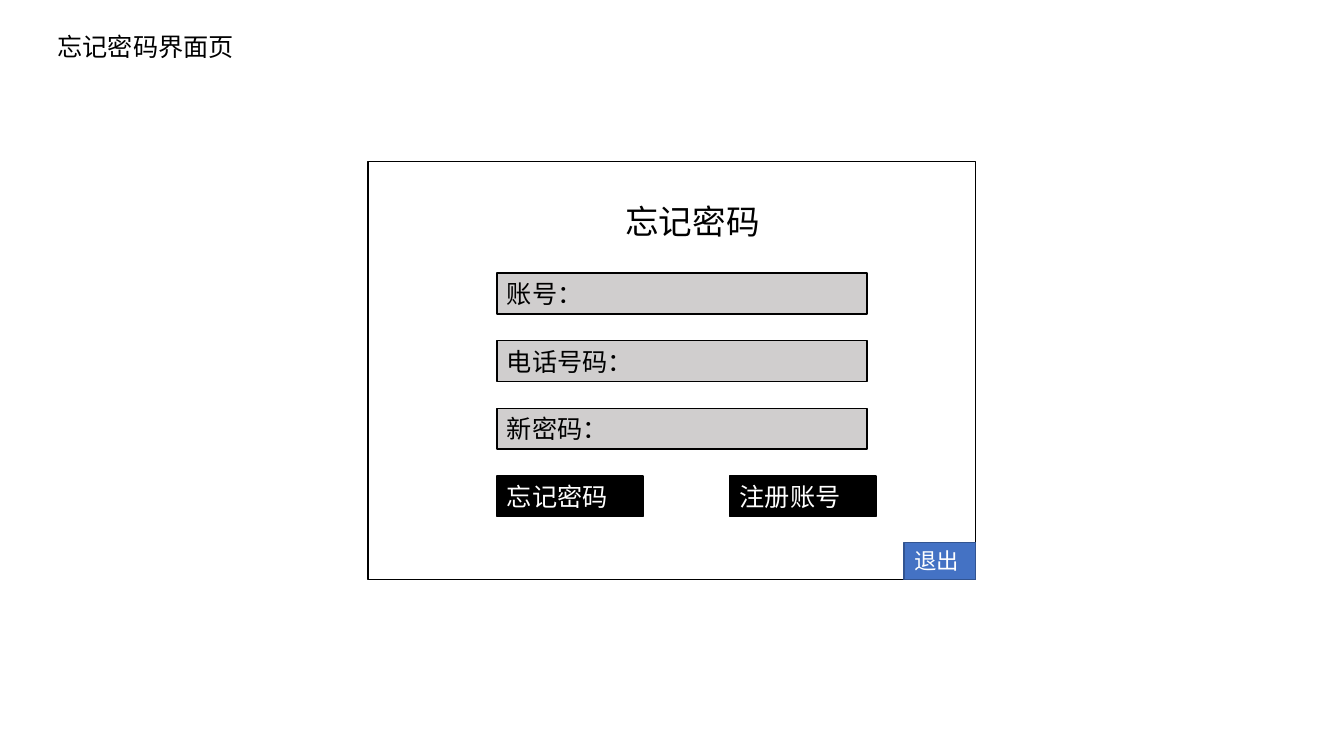
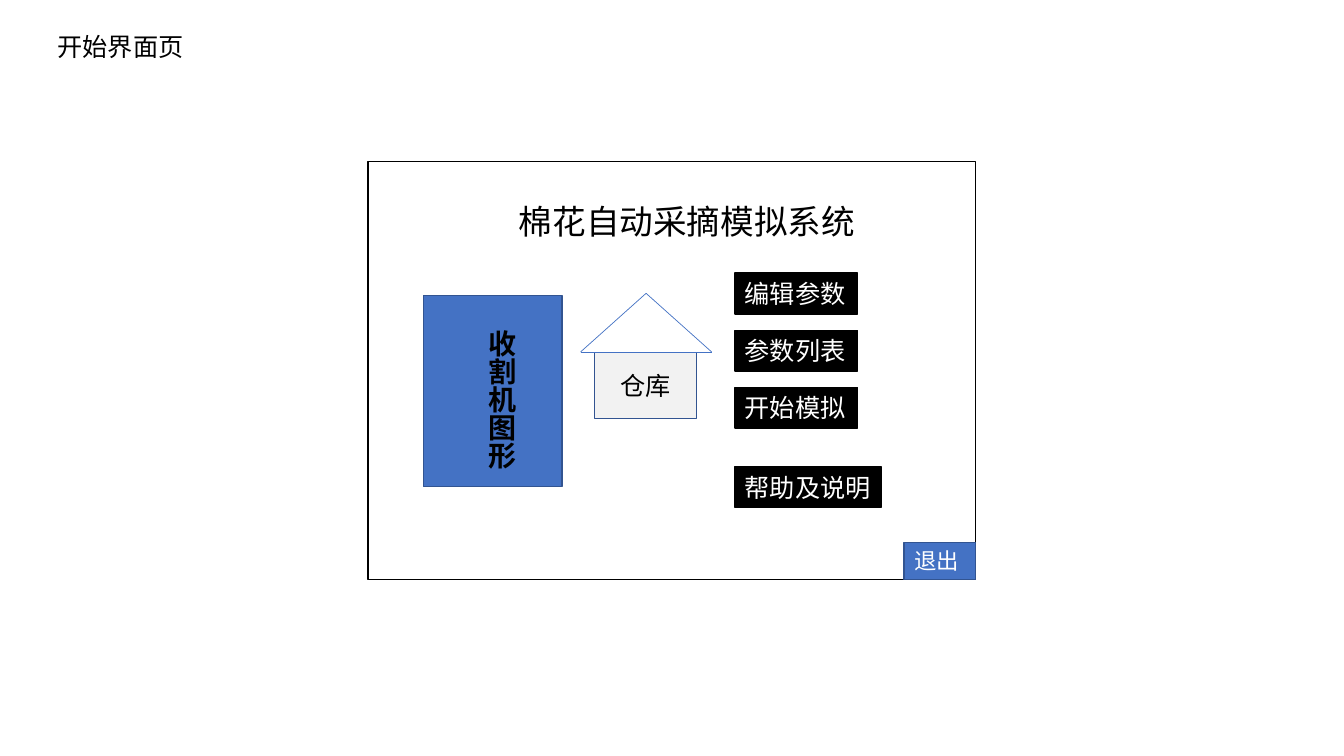
from lxml.etree import SubElement
from pptx import Presentation
from pptx.dml.color import RGBColor
from pptx.enum.shapes import MSO_CONNECTOR, MSO_SHAPE
from pptx.enum.text import MSO_ANCHOR, MSO_AUTO_SIZE, PP_ALIGN
from pptx.oxml.ns import qn
from pptx.util import Inches, Pt

COLORS = {
    "ink": "000000",
    "paper": "FFFFFF",
    "field": "D0CECE",
    "wall": "F2F2F2",
    "accent": "4472C4",
    "accent_edge": "325491",
}
FONT = "Noto Sans CJK SC"
COLUMNS, ROWS = 160, 90

FRAME_LEFT, FRAME_TOP, FRAME_WIDTH, FRAME_HEIGHT = 43.8, 19.2, 72.36, 49.8
EXIT_WIDTH, EXIT_HEIGHT = 8.52, 4.44
LINE_HEIGHT = 4.85
CONTENT_TOP = 32.52
FORM_LEFT, FORM_PITCH = 59.16, 8.05
MENU_LEFT, MENU_PITCH = 87.48, 6.8
WIDE_BUTTON, SMALL_BUTTON = 17.4, 14.64


class Wireframe:
    """Draws interface screens on a grid of 160 columns and 90 rows."""

    def __init__(self):
        self.deck = Presentation()
        self.deck.slide_width, self.deck.slide_height = Inches(13.333), Inches(7.5)
        self.page = None

    def x(self, columns):
        return round(self.deck.slide_width * columns / COLUMNS)

    def y(self, rows):
        return round(self.deck.slide_height * rows / ROWS)

    def area(self, left, top, width, height):
        return self.x(left), self.y(top), self.x(width), self.y(height)

    def color(self, name):
        return RGBColor.from_string(COLORS[name])

    def set_text(self, box, text, size, color="ink", align=PP_ALIGN.LEFT, bold=False):
        frame = box.text_frame
        frame.text = text
        frame.word_wrap = True
        frame.auto_size = MSO_AUTO_SIZE.NONE
        frame.vertical_anchor = MSO_ANCHOR.MIDDLE
        if align == PP_ALIGN.LEFT:
            frame.margin_right = 0
        para = frame.paragraphs[0]
        para.alignment = align
        for span in para.runs:
            span.font.name = FONT
            span.font.size = Pt(size)
            span.font.bold = bold
            span.font.color.rgb = self.color(color)
            SubElement(span.font._element, qn("a:ea"), typeface=FONT)

    def rectangle(self, area, fill=None, edge="ink", kind=MSO_SHAPE.RECTANGLE):
        box = self.page.shapes.add_shape(kind, *self.area(*area))
        box.shadow.inherit = False
        if fill:
            box.fill.solid()
            box.fill.fore_color.rgb = self.color(fill)
        else:
            box.fill.background()
        box.line.color.rgb = self.color(edge)
        box.line.width = Pt(1)
        return box

    def label(self, area, text, size, **style):
        box = self.page.shapes.add_textbox(*self.area(*area))
        self.set_text(box, text, size, **style)
        return box

    def vertical_label(self, area, text, size, **style):
        box = self.label(area, text, size, **style)
        box.text_frame.vertical_anchor = MSO_ANCHOR.TOP
        box.text_frame._txBody.bodyPr.set("vert", "eaVert")

    def field(self, top, text):
        box = self.rectangle((FORM_LEFT, top, 44.04, LINE_HEIGHT), "field")
        self.set_text(box, text, 18)

    def button(self, left, top, width, text):
        box = self.rectangle((left, top, width, LINE_HEIGHT), "ink")
        self.set_text(box, text, 18, "paper")

    def line(self, start, end):
        line = self.page.shapes.add_connector(
            MSO_CONNECTOR.STRAIGHT,
            self.x(start[0]), self.y(start[1]), self.x(end[0]), self.y(end[1]))
        line.line.color.rgb = self.color("accent")
        line.line.width = Pt(0.5)
        SubElement(line._element.spPr, qn("a:effectLst"))

    def screen(self, title, heading, align):
        self.page = self.deck.slides.add_slide(self.deck.slide_layouts[5])
        name = self.page.shapes.title
        name.left, name.top, name.width, name.height = self.area(5.64, 3, 28.8, 5)
        self.set_text(name, title, 18)
        self.rectangle((FRAME_LEFT, FRAME_TOP, FRAME_WIDTH, FRAME_HEIGHT))
        self.label((60.6, 23.28, 43.68, 6), heading, 24, align=align)
        corner = (FRAME_LEFT + FRAME_WIDTH - EXIT_WIDTH,
                  FRAME_TOP + FRAME_HEIGHT - EXIT_HEIGHT)
        leave = self.rectangle((*corner, EXIT_WIDTH, EXIT_HEIGHT), "accent", "accent_edge")
        self.set_text(leave, "退出", 16, "paper")

    def house(self, text):
        wall = self.rectangle((70.8, 42, 12.12, 7.8), "wall", "accent_edge",
                              MSO_SHAPE.FLOWCHART_PROCESS)
        self.set_text(wall, text, 18, align=PP_ALIGN.CENTER)
        left, right, apex = (69.12, 41.9), (84.72, 41.9), (76.92, 34.92)
        for start, end in ((left, right), (left, apex), (right, apex)):
            self.line(start, end)


def password_screen(wireframe):
    wireframe.screen("忘记密码界面页", "忘记密码", PP_ALIGN.CENTER)
    fields = ("账号：", "电话号码：", "新密码：")
    for row, text in enumerate(fields):
        wireframe.field(CONTENT_TOP + row * FORM_PITCH, text)
    button_top = CONTENT_TOP + len(fields) * FORM_PITCH
    for left, text in ((FORM_LEFT, "忘记密码"), (86.88, "注册账号")):
        wireframe.button(left, button_top, WIDE_BUTTON, text)


def start_screen(wireframe):
    wireframe.screen("开始界面页", "棉花自动采摘模拟系统", PP_ALIGN.LEFT)
    wireframe.rectangle((50.4, 35.16, 16.5, 22.8), "accent", "accent_edge")
    wireframe.vertical_label((55.2, 38.04, 6.5, 19.9), "收割机图形", 20, bold=True)
    wireframe.house("仓库")
    for row, text in enumerate(("编辑参数", "参数列表", "开始模拟")):
        wireframe.button(MENU_LEFT, CONTENT_TOP + row * MENU_PITCH, SMALL_BUTTON, text)
    wireframe.button(MENU_LEFT, 55.56, WIDE_BUTTON, "帮助及说明")


def main():
    wireframe = Wireframe()
    password_screen(wireframe)
    start_screen(wireframe)
    wireframe.deck.save("out.pptx")


if __name__ == "__main__":
    main()
